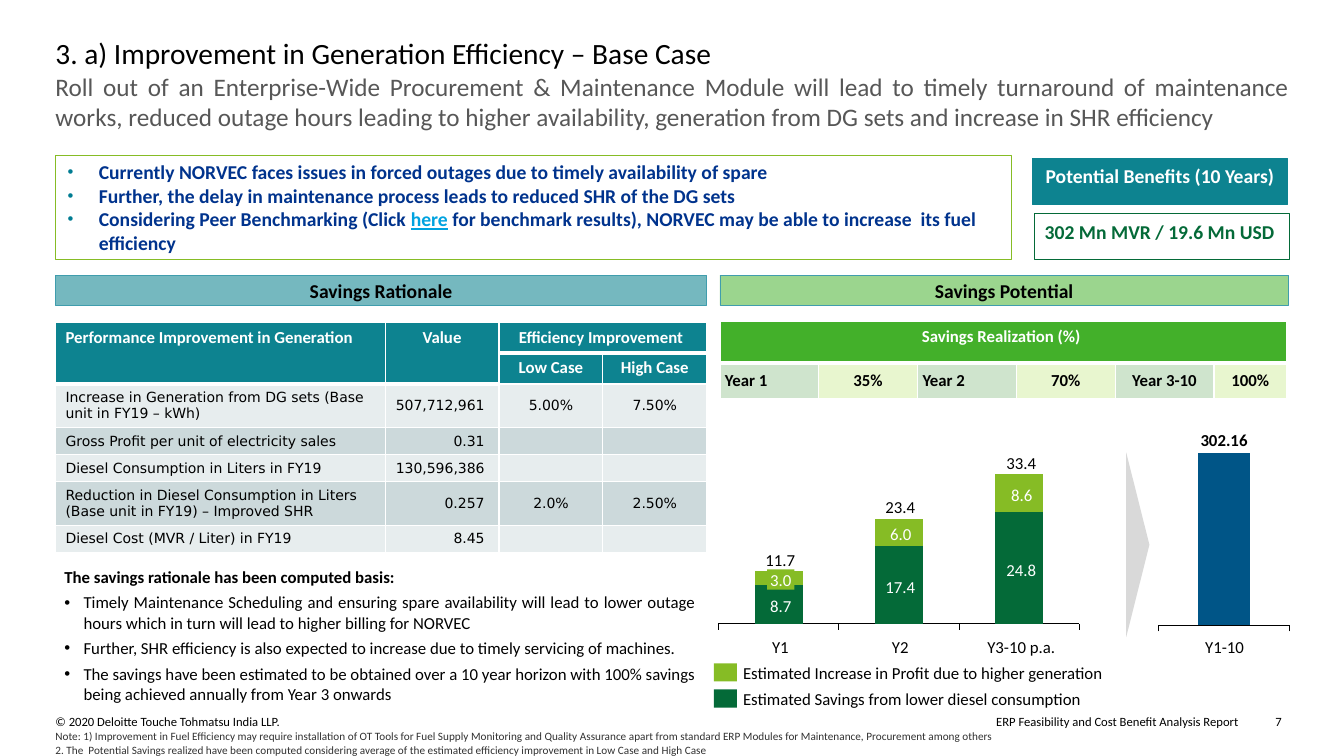
from lxml import etree
from pptx import Presentation
from pptx import util as u
from pptx.chart import data as chart_data
from pptx.dml.color import RGBColor
from pptx.enum import chart as charts, shapes, text
from pptx.oxml import ns

PX = 9144  # 100 px to the inch
BLACK, WHITE = RGBColor(0, 0, 0), RGBColor(255, 255, 255)
GREY, NOTE_GREY = RGBColor(0x57, 0x57, 0x57), RGBColor(0x31, 0x31, 0x31)
ARROW_GREY = RGBColor(0xD9, 0xD9, 0xD9)
TEAL, TEAL_EDGE = RGBColor(0x0D, 0x83, 0x90), RGBColor(0x40, 0x9D, 0xAD)
GREEN, LIME = RGBColor(0x43, 0xB0, 0x2A), RGBColor(0x86, 0xBC, 0x25)
DARK_GREEN, BLUE = RGBColor(0x04, 0x6A, 0x38), RGBColor(0x00, 0x55, 0x87)
NAVY, LINK = RGBColor(0x00, 0x33, 0x8D), RGBColor(0x00, 0xA3, 0xE0)
BAND_LIGHT, BAND_DARK = RGBColor(0xE7, 0xED, 0xEE), RGBColor(0xCC, 0xD9, 0xDB)
YEAR_FILL, SHARE_FILL = RGBColor(0xCF, 0xE4, 0xCD), RGBColor(0xE8, 0xF6, 0xCF)
LEFT, CENTER, RIGHT, JUSTIFY = (text.PP_ALIGN.LEFT, text.PP_ALIGN.CENTER,
                                text.PP_ALIGN.RIGHT, text.PP_ALIGN.JUSTIFY)
TOP, MIDDLE, BOTTOM = text.MSO_ANCHOR.TOP, text.MSO_ANCHOR.MIDDLE, text.MSO_ANCHOR.BOTTOM

deck = Presentation()
deck.slide_width, deck.slide_height = 1333 * PX, 750 * PX
page = deck.slides.add_slide(deck.slide_layouts[6])


def add_box(place, lines=(), size=12, color=BLACK, bold=False, align=LEFT, anchor=TOP,
            margins=(0, 0, 0, 0), fill=None, line=None, wrap=True):
    """Add a text box, or a rectangle when a fill is given; line is (colour, points)."""
    area = [n * PX for n in place]
    if fill is None:
        box = page.shapes.add_textbox(*area)
    else:
        box = page.shapes.add_shape(shapes.MSO_SHAPE.RECTANGLE, *area)
        box.shadow.inherit = False
        box.fill.solid()
        box.fill.fore_color.rgb = fill
        if line:
            box.line.color.rgb, box.line.width = line[0], u.Pt(line[1])
        else:
            box.line.fill.background()
    frame = box.text_frame
    frame.word_wrap, frame.vertical_anchor = wrap, anchor
    frame.margin_left, frame.margin_top, frame.margin_right, frame.margin_bottom = [
        n * PX for n in margins]
    frame.text = "\n".join(lines)
    for para in frame.paragraphs:
        para.alignment = align
        for span in para.runs:
            span.font.name, span.font.size, span.font.bold = "Calibri", u.Pt(size), bold
            span.font.color.rgb = color
    return box


def add_bullet(para, indent, color=None):
    props = para._p.get_or_add_pPr()
    props.set("marL", str(indent * PX))
    props.set("indent", str(-indent * PX))
    if color:
        tint = etree.SubElement(props, ns.qn("a:buClr"))
        etree.SubElement(tint, ns.qn("a:srgbClr"), val=str(color))
        etree.SubElement(props, ns.qn("a:buSzPct"), val="85000")
    etree.SubElement(props, ns.qn("a:buFont"), typeface="Arial")
    etree.SubElement(props, ns.qn("a:buChar"), char="•")


# Footer, title and subtitle
add_box((693, 708, 535, 15), ["ERP Feasibility and Cost Benefit Analysis Report"], 9, align=RIGHT)
add_box((55, 708, 586, 15), ["© 2020 Deloitte Touche Tohmatsu India LLP."], 9)
add_box((1265, 708, 15, 15), ["7"], 9, wrap=False)
add_box((55, 71, 1224, 83), [
    "Roll out of an Enterprise-Wide Procurement & Maintenance Module will lead to timely turnaround "
    "of maintenance works, reduced outage hours leading to higher availability, generation from DG "
    "sets and increase in SHR efficiency"], 18, GREY, align=JUSTIFY)
add_box((55, 35, 1224, 37), ["3. a) Improvement in Generation Efficiency – Base Case"], 21)

# Benefits and issues
add_box((1024, 157, 253, 46), ["Potential Benefits (10 Years)"], 14, WHITE, True, CENTER,
        margins=(6, 6, 6, 6), fill=TEAL, line=(TEAL, 0.75))
add_box((1026, 212, 253, 46), ["302 Mn MVR / 19.6 Mn USD "], 14, DARK_GREEN, True, CENTER,
        margins=(0, 6, 0, 6), fill=WHITE, line=(DARK_GREEN, 0.75))
issues = add_box((55, 154, 948, 103), [
    "Currently NORVEC faces issues in forced outages due to timely availability of spare",
    "Further, the delay in maintenance process leads to reduced SHR of the DG sets",
    "Considering Peer Benchmarking (Click "], 14, NAVY, True, anchor=MIDDLE,
    margins=(12, 4, 4, 4), fill=WHITE, line=(LIME, 0.5))
for para in issues.text_frame.paragraphs:
    add_bullet(para, 31, RGBColor(0x00, 0x7C, 0x92))
for words, color in (("here", LINK),
                     (" for benchmark results), NORVEC may be able to increase  its fuel efficiency",
                      NAVY)):
    span = para.add_run()
    span.text = words
    span.font.name, span.font.size, span.font.bold = "Calibri", u.Pt(14), True
    span.font.color.rgb, span.font.underline = color, color == LINK

# Section headings
for place, heading, color, opacity in (((55, 273, 646, 30), "Savings Rationale", TEAL, 57),
                                       ((714, 273, 564, 30), "Savings Potential", GREEN, 53)):
    box = add_box(place, [heading], 14, BLACK, True, CENTER, MIDDLE,
                  fill=color, line=(TEAL_EDGE, 0.5))
    tint = box._element.spPr.find(ns.qn("a:solidFill"))[0]
    etree.SubElement(tint, ns.qn("a:alpha"), val=str(opacity * 1000))

# Tables: place, column widths, row heights, merges, header rows, header fill, body fills, rows
performance = [
    ["Performance Improvement in Generation", "Value", "Efficiency Improvement ", ""],
    ["", "", "Low Case", "High Case"],
    ["Increase in Generation from DG sets (Base unit in FY19 – kWh)", "507,712,961 ", "5.00%", "7.50%"],
    ["Gross Profit per unit of electricity sales", "0.31 ", "", ""],
    ["Diesel Consumption in Liters in FY19", "130,596,386 ", "", ""],
    ["Reduction in Diesel Consumption in Liters (Base unit in FY19) – Improved SHR", "0.257 ",
     "2.0%", "2.50%"],
    ["Diesel Cost (MVR / Liter) in FY19", "8.45 ", "", ""]]
realization = [["Savings Realization (%) "] + [""] * 5,
               ["Year 1", "35%", "Year 2", "70%", "Year 3-10", "100%"]]
tables = (
    ((55, 320), (327, 113, 103, 103), (30, 31, 42, 26, 26, 42, 26),
     ((0, 0, 1, 0), (0, 1, 1, 1), (0, 2, 0, 3)), 2, TEAL, performance),
    ((714, 319), (98, 98, 98, 98, 98, 72), (41, 35), ((0, 0, 0, 5),), 1, GREEN, realization))
for (left, top), widths, heights, merges, head_rows, head_fill, rows in tables:
    frame = page.shapes.add_table(len(rows), len(widths), left * PX, top * PX,
                                  sum(widths) * PX, sum(heights) * PX)
    grid = frame.table
    for column, width in zip(grid.columns, widths):
        column.width = width * PX
    for row, height in zip(grid.rows, heights):
        row.height = height * PX
    for top_row, first, bottom_row, last in merges:
        grid.cell(top_row, first).merge(grid.cell(bottom_row, last))
    for r, row in enumerate(rows):
        for c, words in enumerate(row):
            cell = grid.cell(r, c)
            is_head, is_years = r < head_rows, rows is realization
            size, font = (12, "Calibri") if is_head or is_years else (10, "DejaVu Sans")
            for side in ("lnL", "lnR", "lnT", "lnB"):
                weight = 3 if r == 0 and side == "lnB" else 1
                edge = etree.SubElement(cell._tc.get_or_add_tcPr(), ns.qn("a:" + side),
                                        w=str(u.Pt(weight)))
                paint = etree.SubElement(edge, ns.qn("a:solidFill"))
                etree.SubElement(paint, ns.qn("a:srgbClr"), val=str(WHITE))
            cell.fill.solid()
            if is_head:
                cell.fill.fore_color.rgb = head_fill
            elif is_years:
                cell.fill.fore_color.rgb = SHARE_FILL if c % 2 else YEAR_FILL
            else:
                cell.fill.fore_color.rgb = BAND_DARK if r % 2 else BAND_LIGHT
            cell.vertical_anchor = TOP if is_head else MIDDLE
            if is_years:
                cell.margin_left = cell.margin_right = 5 * PX
            cell.text = words
            para = cell.text_frame.paragraphs[0]
            if is_years:
                para.alignment = LEFT if words in ("Year 1", "Year 2") else CENTER
            else:
                para.alignment = LEFT if c == 0 else RIGHT if c == 1 and not is_head else CENTER
            for span in para.runs:
                span.font.name, span.font.size = font, u.Pt(size)
                span.font.bold = is_head or is_years
                span.font.color.rgb = WHITE if is_head else BLACK
            if not words:
                etree.SubElement(para._p, ns.qn("a:endParaRPr"), sz=str(size * 100))

# Basis of the rationale
basis = add_box((54, 557, 646, 152), [
    "The savings rationale has been computed basis:",
    "Timely Maintenance Scheduling and ensuring spare availability will lead to lower outage hours "
    "which in turn will lead to higher billing for NORVEC",
    "Further, SHR efficiency is also expected to increase due to timely servicing of machines.",
    "The savings have been estimated to be obtained over a 10 year horizon with 100% savings being "
    "achieved annually from Year 3 onwards"], align=JUSTIFY, margins=(10, 5, 10, 5))
basis_lead, *basis_points = basis.text_frame.paragraphs
basis_lead.runs[0].font.bold = True
for para in basis_points:
    add_bullet(para, 19)
    para.space_before = u.Pt(4)

# Charts
for place, categories, series, peak, layout in (
        ((705, 462, 377, 167), "123", (((35, 70, 100), DARK_GREEN), ((12, 24, 34), LIME)), 134,
         (0.02, 0.05, 0.95, 0.89)),
        ((1140, 440, 148, 190), "1", (((100,), BLUE),), 100, (0.06, 0.05, 0.88, 0.9))):
    figures = chart_data.CategoryChartData()
    figures.categories = list(categories)
    for number, (values, color) in enumerate(series, 1):
        figures.add_series(f"Series {number}", values)
    chart = page.shapes.add_chart(charts.XL_CHART_TYPE.COLUMN_STACKED,
                                  *[n * PX for n in place], figures).chart
    chart.has_legend = chart.has_title = False
    chart.font.name, chart.font.size, chart.font.color.rgb = "Calibri", u.Pt(10), BLACK
    plot = chart.plots[0]
    plot.gap_width, plot.overlap, plot.vary_by_categories = 150, 100, False
    for bars, (values, color) in zip(plot.series, series):
        bars.format.fill.solid()
        bars.format.fill.fore_color.rgb = color
    axis = chart.value_axis
    axis.minimum_scale, axis.maximum_scale = 0, peak
    axis.visible = axis.has_major_gridlines = False
    axis = chart.category_axis
    axis.tick_label_position = charts.XL_TICK_LABEL_POSITION.NONE
    axis.major_tick_mark = charts.XL_TICK_MARK.OUTSIDE
    axis.format.line.color.rgb, axis.format.line.width = BLACK, u.Pt(0.75)
    area = chart._chartSpace.chart.plotArea
    for old in area.findall(ns.qn("c:layout")):
        area.remove(old)
    holder = etree.Element(ns.qn("c:layout"))
    area.insert(0, holder)
    manual = etree.SubElement(holder, ns.qn("c:manualLayout"))
    for tag, value in zip(("layoutTarget", "xMode", "yMode", "x", "y", "w", "h"),
                          ("inner", "edge", "edge", *layout)):
        etree.SubElement(manual, ns.qn("c:" + tag), val=str(value))

# Chart labels: centre, then (text, top) of total, upper part, lower part and category
for center, total, upper, lower, category in (
        (774, ("11.7", 545), ("3.0", 565), ("8.7", 591), "Y1"),
        (893, ("23.4", 493), ("6.0", 520), ("17.4", 572), "Y2"),
        (1013, ("33.4", 449), ("8.6", 481), ("24.8", 555), "Y3-10 p.a."),
        (1214, ("302.16", 426), None, None, "Y1-10")):
    for label, color, anchor in ((total, BLACK, BOTTOM), (upper, WHITE, MIDDLE),
                                 (lower, WHITE, MIDDLE), ((category, 632), BLACK, TOP)):
        if label:
            words, top = label
            width = 7 * len(words) + 6
            add_box((center - width // 2, top, width, 20), [words], 12, color, words == "302.16",
                    CENTER, anchor, fill=LIME if words == "3.0" else None, wrap=False)

# Legend
for top, color, words in ((658, LIME, "Estimated Increase in Profit due to higher generation"),
                          (684, DARK_GREEN, "Estimated Savings from lower diesel consumption")):
    add_box((708, top, 23, 18), fill=color)
    add_box((737, top - 1, 357, 20), [words], anchor=MIDDLE, wrap=False)

arrow = page.shapes.add_shape(shapes.MSO_SHAPE.ISOSCELES_TRIANGLE,
                              1037 * PX, 529 * PX, 183 * PX, 23 * PX)
arrow.rotation = 90
arrow.shadow.inherit = False
arrow.fill.solid()
arrow.fill.fore_color.rgb = ARROW_GREY
arrow.line.fill.background()

add_box((55, 724, 1216, 27), [
    "Note: 1) Improvement in Fuel Efficiency may require installation of OT Tools for Fuel Supply "
    "Monitoring and Quality Assurance apart from standard ERP Modules for Maintenance, Procurement "
    "among others",
    "2. The  Potential Savings realized have been computed considering average of the estimated "
    "efficiency improvement in Low Case and High Case"], 8, NOTE_GREY)

deck.save("out.pptx")
